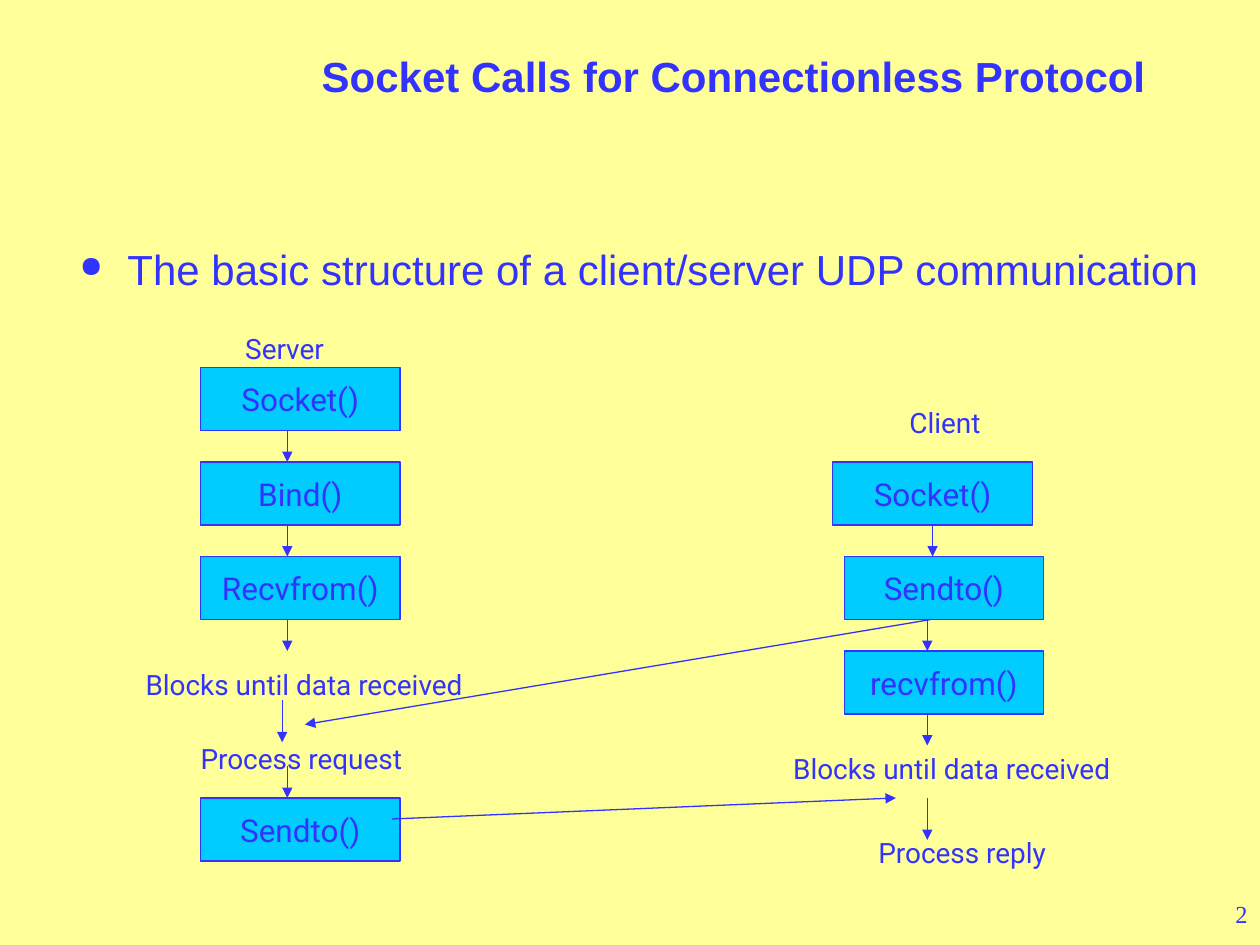
from dataclasses import dataclass
from lxml.etree import SubElement
from pptx import Presentation
from pptx.dml.color import RGBColor
from pptx.enum.shapes import MSO_CONNECTOR, MSO_SHAPE
from pptx.enum.text import MSO_ANCHOR, PP_ALIGN
from pptx.oxml.ns import qn
from pptx.shapes.autoshape import Shape
from pptx.shapes.connector import Connector
from pptx.util import Inches, Pt


@dataclass(frozen=True)
class Theme:
    ink: RGBColor = RGBColor(0x33, 0x33, 0xFF)
    paper: RGBColor = RGBColor(0xFF, 0xFF, 0x99)
    box: RGBColor = RGBColor(0x00, 0xCC, 0xFF)
    head: str = "Arial"
    body: str = "Roboto"
    page: str = "Times New Roman"
    large: int = 24
    call: int = 18
    note: int = 16
    small: int = 14
    line: float = 0.75


@dataclass(frozen=True)
class Call:
    text: str
    col: float
    row: float


@dataclass(frozen=True)
class Label:
    text: str
    col: float
    row: float
    wide: float
    high: float = 4.4
    size: int = 16
    font: str = "Roboto"
    bold: bool = False
    wrap: bool = False
    anchor: MSO_ANCHOR = MSO_ANCHOR.TOP


@dataclass(frozen=True)
class Arrow:
    col: float
    row: float
    end_col: float
    end_row: float


THEME = Theme()
COLS, ROWS = 120, 90
WIDE, HIGH = 19, 6
STEP, GAP = 9, 3
SERVER, CLIENT = 19.1, 80.4
LEFT, RIGHT = 27.36, 88.32
FIRST = 79.32

deck = Presentation()
deck.slide_width, deck.slide_height = Inches(10), Inches(7.5)
slide = deck.slides.add_slide(deck.slide_layouts[6])
slide.background.fill.solid()
slide.background.fill.fore_color.rgb = THEME.paper


def across(cols: float) -> int:
    return round(deck.slide_width * cols / COLS)


def down(rows: float) -> int:
    return round(deck.slide_height * rows / ROWS)


def write(shape: Shape, text: str, size: int, font: str, align: PP_ALIGN,
          anchor: MSO_ANCHOR, wrap: bool = False, bold: bool = False) -> None:
    frame = shape.text_frame
    frame.text = text
    frame.word_wrap = wrap
    frame.vertical_anchor = anchor
    para = frame.paragraphs[0]
    para.alignment = align
    face = para.runs[0].font
    face.size, face.name, face.bold = Pt(size), font, bold
    face.color.rgb = THEME.ink


def draw_call(call: Call) -> Shape:
    box = slide.shapes.add_shape(MSO_SHAPE.RECTANGLE, across(call.col), down(call.row),
                                 across(WIDE), down(HIGH))
    box.shadow.inherit = False
    box.fill.solid()
    box.fill.fore_color.rgb = THEME.box
    box.line.color.rgb = THEME.ink
    box.line.width = Pt(THEME.line)
    write(box, call.text, THEME.call, THEME.body, PP_ALIGN.CENTER, MSO_ANCHOR.MIDDLE)
    return box


def draw_label(label: Label) -> Shape:
    box = slide.shapes.add_textbox(across(label.col), down(label.row),
                                   across(label.wide), down(label.high))
    write(box, label.text, label.size, label.font, PP_ALIGN.RIGHT,
          label.anchor, label.wrap, label.bold)
    return box


def draw_arrow(arrow: Arrow) -> Connector:
    link = slide.shapes.add_connector(MSO_CONNECTOR.STRAIGHT, across(arrow.col), down(arrow.row),
                                      across(arrow.end_col), down(arrow.end_row))
    link.line.color.rgb = THEME.ink
    link.line.width = Pt(THEME.line)
    SubElement(link.line._get_or_add_ln(), qn("a:tailEnd"), type="triangle")
    SubElement(link._element.spPr, qn("a:effectLst"))
    return link


def add_bullet(shape: Shape) -> None:
    props = shape.text_frame.paragraphs[0]._p.get_or_add_pPr()
    props.set("marL", str(Inches(0.38)))
    props.set("indent", str(-Inches(0.38)))
    tint = SubElement(props, qn("a:buClr"))
    SubElement(tint, qn("a:srgbClr"), val=str(THEME.ink))
    SubElement(props, qn("a:buSzPct"), val="70000")
    SubElement(props, qn("a:buChar"), char="●")


def drop(col: float, row: float, high: float = GAP) -> Arrow:
    return Arrow(col, row, col, row + high)


draw_label(Label("2", 112.92, 84, 7.08, 6, THEME.small, THEME.page, anchor=MSO_ANCHOR.MIDDLE))
draw_label(Label("Socket Calls for Connectionless Protocol", 11.28, 0, 99, 10.2,
                 THEME.large, THEME.head, True, True, MSO_ANCHOR.BOTTOM))
add_bullet(draw_label(Label("The basic structure of a client/server UDP communication ",
                            5.64, 22.56, 110.76, 62.76, THEME.large, THEME.head, wrap=True)))

for label in (
    Label("Server", 21.72, 31, 10.32),
    Label("Blocks until data received", 11.04, 63, 34.2),
    Label("Process request", 17.52, 70, 21.96, 7.68, wrap=True),
    Label("Client", 85.08, 38, 9.48),
    Label("Blocks until data received", 72.72, 71, 34.2),
    Label("Process reply", 78.84, 79, 21.96, wrap=True),
):
    draw_label(label)

for rank, name in enumerate(("Socket()", "Bind()", "Recvfrom()")):
    row = 35 + rank * STEP
    draw_call(Call(name, SERVER, row))
    draw_arrow(drop(LEFT, row + HIGH))
draw_call(Call("Sendto()", SERVER, 76))

start = draw_call(Call("Socket()", FIRST, 44))
draw_arrow(drop(FIRST + WIDE / 2, 44 + HIGH)).begin_connect(start, 2)
for rank, name in enumerate(("Sendto()", "recvfrom()"), 1):
    row = 44 + rank * STEP
    draw_call(Call(name, CLIENT, row))
    draw_arrow(drop(RIGHT, row + HIGH))

for arrow in (
    Arrow(88.68, 59, 29.04, 69),
    drop(26.88, 66.7, 4),
    drop(LEFT, 73),
    Arrow(37.32, 78, 85.32, 76),
    drop(RIGHT, 76, 4),
):
    draw_arrow(arrow)

deck.save("out.pptx")
